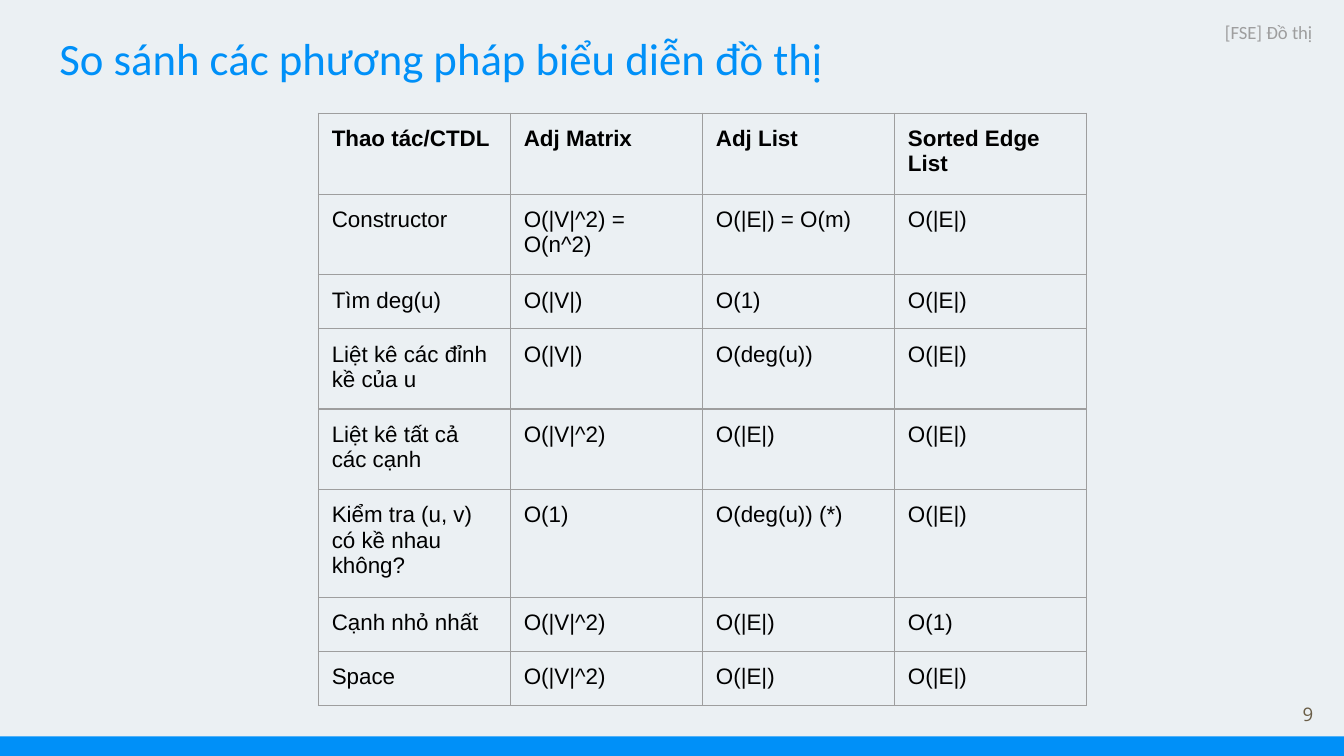
"""Build a slide comparing the ways to represent a graph."""
import lxml.etree
import pptx
import pptx.dml.color
import pptx.enum.shapes
import pptx.enum.text
import pptx.oxml
import pptx.oxml.ns
import pptx.util

Cm = pptx.util.Cm
RGBColor = pptx.dml.color.RGBColor
Align = pptx.enum.text.PP_ALIGN
Anchor = pptx.enum.text.MSO_ANCHOR

BLUE = RGBColor(0x00, 0x90, 0xF8)
PALE = RGBColor(0xEB, 0xF0, 0xF3)
GREY = RGBColor(0x9E, 0x9E, 0x9E)
BROWN = RGBColor(0x69, 0x5D, 0x46)
BLACK = RGBColor(0, 0, 0)
INSET = Cm(0.25)

ROWS = [
    (1.53, "Thao tác/CTDL", "Adj Matrix", "Adj List", "Sorted Edge List"),
    (1.52, "Constructor", "O(|V|^2) = O(n^2)", "O(|E|) = O(m)", "O(|E|)"),
    (1.02, "Tìm deg(u)", "O(|V|)", "O(1)", "O(|E|)"),
    (1.52, "Liệt kê các đỉnh kề của u", "O(|V|)", "O(deg(u))", "O(|E|)"),
    (1.52, "Liệt kê tất cả các cạnh", "O(|V|^2)", "O(|E|)", "O(|E|)"),
    (2.04, "Kiểm tra (u, v) có kề nhau không?", "O(1)", "O(deg(u)) (*)", "O(|E|)"),
    (1.02, "Cạnh nhỏ nhất", "O(|V|^2)", "O(|E|)", "O(1)"),
    (1.02, "Space", "O(|V|^2)", "O(|E|)", "O(|E|)"),
]


def write(frame, text, face, size, color, align=Align.LEFT, anchor=Anchor.TOP):
    """Fill a text frame with one styled paragraph."""
    frame.word_wrap = True
    frame.vertical_anchor = anchor
    frame.margin_left = frame.margin_right = INSET
    frame.margin_top = frame.margin_bottom = INSET
    line = frame.paragraphs[0]
    line.text = text
    line.alignment = align
    line.font.name = face
    line.font.size = pptx.util.Pt(size)
    line.font.color.rgb = color


def border(cell):
    """Draw a thin grey line on each side of a table cell."""
    props = cell._tc.get_or_add_tcPr()
    for spot, side in enumerate("LRTB"):
        props.insert(spot, pptx.oxml.parse_xml(
            f'<a:ln{side} {pptx.oxml.ns.nsdecls("a")} w="9525"><a:solidFill>'
            f'<a:srgbClr val="{GREY}"/></a:solidFill></a:ln{side}>'))


deck = pptx.Presentation()
deck.slide_width, deck.slide_height = Cm(25.4), Cm(14.29)
slide = deck.slides.add_slide(deck.slide_layouts[5])
slide.background.fill.solid()
slide.background.fill.fore_color.rgb = PALE

title = slide.shapes.title
title.left, title.top, title.width, title.height = Cm(0.87), Cm(0.33), Cm(23.67), Cm(1.96)
write(title.text_frame, "So sánh các phương pháp biểu diễn đồ thị", "Calibri", 24, BLUE)
title.text_frame.auto_size = pptx.enum.text.MSO_AUTO_SIZE.NONE

bar = slide.shapes.add_shape(
    pptx.enum.shapes.MSO_SHAPE.RECTANGLE, 0, Cm(13.92), deck.slide_width, Cm(0.37))
bar.shadow.inherit = False
bar.fill.solid()
bar.fill.fore_color.rgb = BLUE
bar.line.fill.background()

page = slide.shapes.add_textbox(Cm(23.55), Cm(12.95), Cm(1.52), Cm(1.09))
write(page.text_frame, "9", "Open Sans", 10, BROWN, Align.RIGHT, Anchor.MIDDLE)

topic = slide.shapes.add_textbox(Cm(20.02), Cm(0.18), Cm(5.03), Cm(1.37))
write(topic.text_frame, "[FSE] Đồ thị", "Calibri", 10, GREY, Align.RIGHT)

high = sum(row[0] for row in ROWS)
grid = slide.shapes.add_table(
    len(ROWS), 4, Cm(6.02), Cm(2.14), Cm(14.52), Cm(high)).table
grid.first_row = grid.horz_banding = False
for col in grid.columns:
    col.width = Cm(3.63)
for r, (tall, *texts) in enumerate(ROWS):
    grid.rows[r].height = Cm(tall)
    for c, text in enumerate(texts):
        cell = grid.cell(r, c)
        write(cell.text_frame, text, "Arial", 12, BLACK)
        cell.text_frame.paragraphs[0].font.bold = r == 0
        cell.margin_left = cell.margin_right = INSET
        cell.margin_top = cell.margin_bottom = INSET
        cell.fill.background()
        border(cell)

deck.save("out.pptx")
